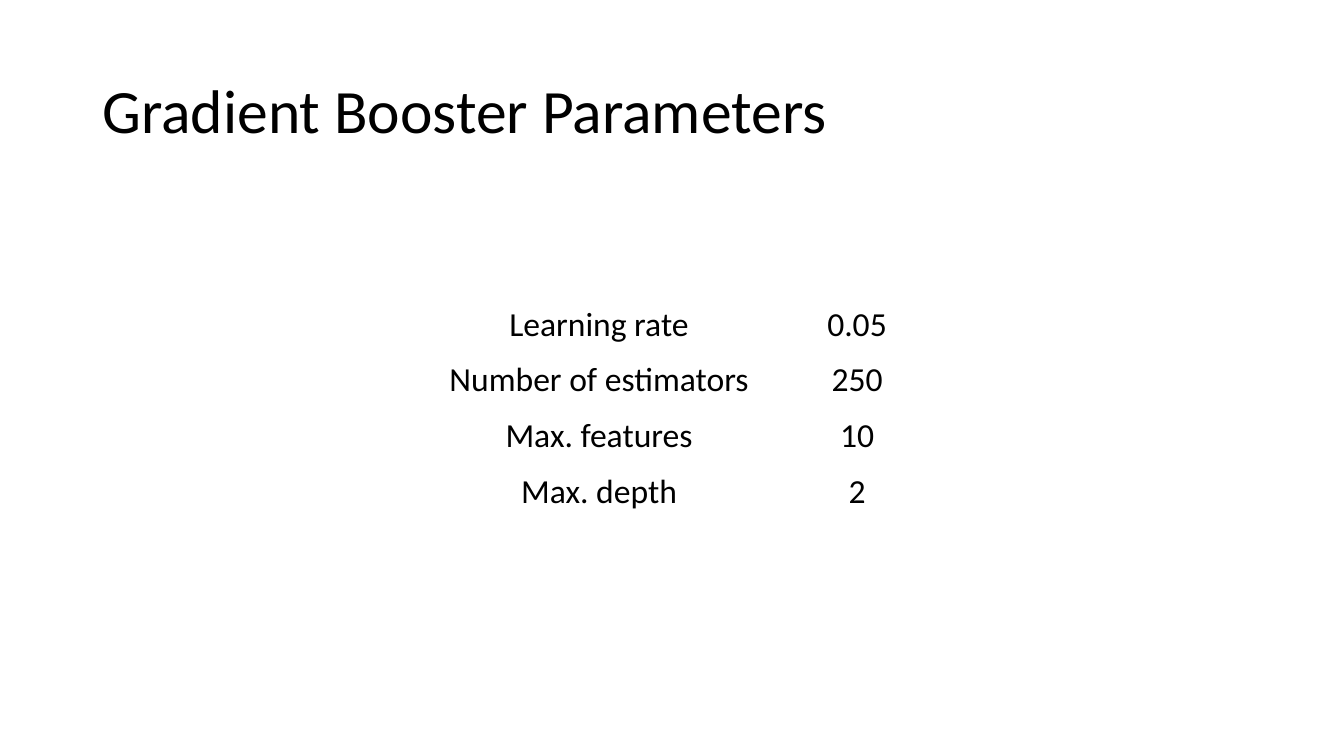
import lxml.etree
import pptx
import pptx.dml.color
import pptx.enum.text
import pptx.oxml.ns
import pptx.util

Pt = pptx.util.Pt
ALIGN = pptx.enum.text.PP_ALIGN
ANCHOR = pptx.enum.text.MSO_ANCHOR
BLACK = pptx.dml.color.RGBColor(0x00, 0x00, 0x00)
WHITE = pptx.dml.color.RGBColor(0xFF, 0xFF, 0xFF)
FONT = "Calibri"
PARAMETERS = [
    ("Learning rate", "0.05"),
    ("Number of estimators", "250"),
    ("Max. features", "10"),
    ("Max. depth", "2"),
]


def write_text(frame, text, size, align=ALIGN.LEFT, spacing=1.0):
    """Write one formatted paragraph into a text frame."""
    paragraph = frame.paragraphs[0]
    paragraph.alignment = align
    paragraph.line_spacing = spacing
    run = paragraph.add_run()
    run.text = text
    run.font.size = Pt(size)
    run.font.name = FONT
    run.font.bold = False
    run.font.color.rgb = BLACK


def set_borders(cell, color, **widths):
    """Draw the left, right, top and bottom borders of a cell."""
    qn = pptx.oxml.ns.qn
    properties = cell._tc.get_or_add_tcPr()
    for position, side in enumerate("LRTB"):
        line = lxml.etree.Element(qn(f"a:ln{side}"), w=str(Pt(widths[side])))
        fill = lxml.etree.SubElement(line, qn("a:solidFill"))
        lxml.etree.SubElement(fill, qn("a:srgbClr"), val=str(color))
        properties.insert(position, line)


def add_heading(slide, heading, left, top, width, height):
    """Place the slide heading in the title placeholder."""
    title = slide.shapes.title
    title.left, title.top = Pt(left), Pt(top)
    title.width, title.height = Pt(width), Pt(height)
    title.text_frame.word_wrap = True
    title.text_frame.vertical_anchor = ANCHOR.MIDDLE
    write_text(title.text_frame, heading, size=44, spacing=0.9)


def add_parameters(slide, parameters, left, top, width, height):
    """Place the table of parameter names and values."""
    table = slide.shapes.add_table(
        len(parameters), 2, Pt(left), Pt(top), Pt(width), Pt(height)
    ).table
    table.first_row = False
    table.horz_banding = False
    name_width = width * 0.72
    table.columns[0].width = Pt(name_width)
    table.columns[1].width = Pt(width - name_width)
    for row, parameter in enumerate(parameters):
        table.rows[row].height = Pt(height / len(parameters))
        for column, text in enumerate(parameter):
            cell = table.cell(row, column)
            cell.margin_left = cell.margin_right = Pt(5)
            cell.margin_top = cell.margin_bottom = Pt(0)
            cell.vertical_anchor = ANCHOR.TOP
            cell.fill.background()
            top_width = 3 if row == 1 else 1
            bottom_width = 3 if row == 0 else 1
            set_borders(cell, WHITE, L=1, R=1, T=top_width, B=bottom_width)
            write_text(cell.text_frame, text, size=24, align=ALIGN.CENTER)


def main():
    """Build and save the slide."""
    deck = pptx.Presentation()
    deck.slide_width, deck.slide_height = Pt(960), Pt(540)
    slide = deck.slides.add_slide(deck.slide_layouts[5])
    slide.background.fill.solid()
    slide.background.fill.fore_color.rgb = WHITE
    add_heading(slide, "Gradient Booster Parameters", 66, 28.8, 828, 104.4)
    add_parameters(slide, PARAMETERS, 295.2, 217.4, 368.6, 159.2)
    deck.save("out.pptx")


if __name__ == "__main__":
    main()
